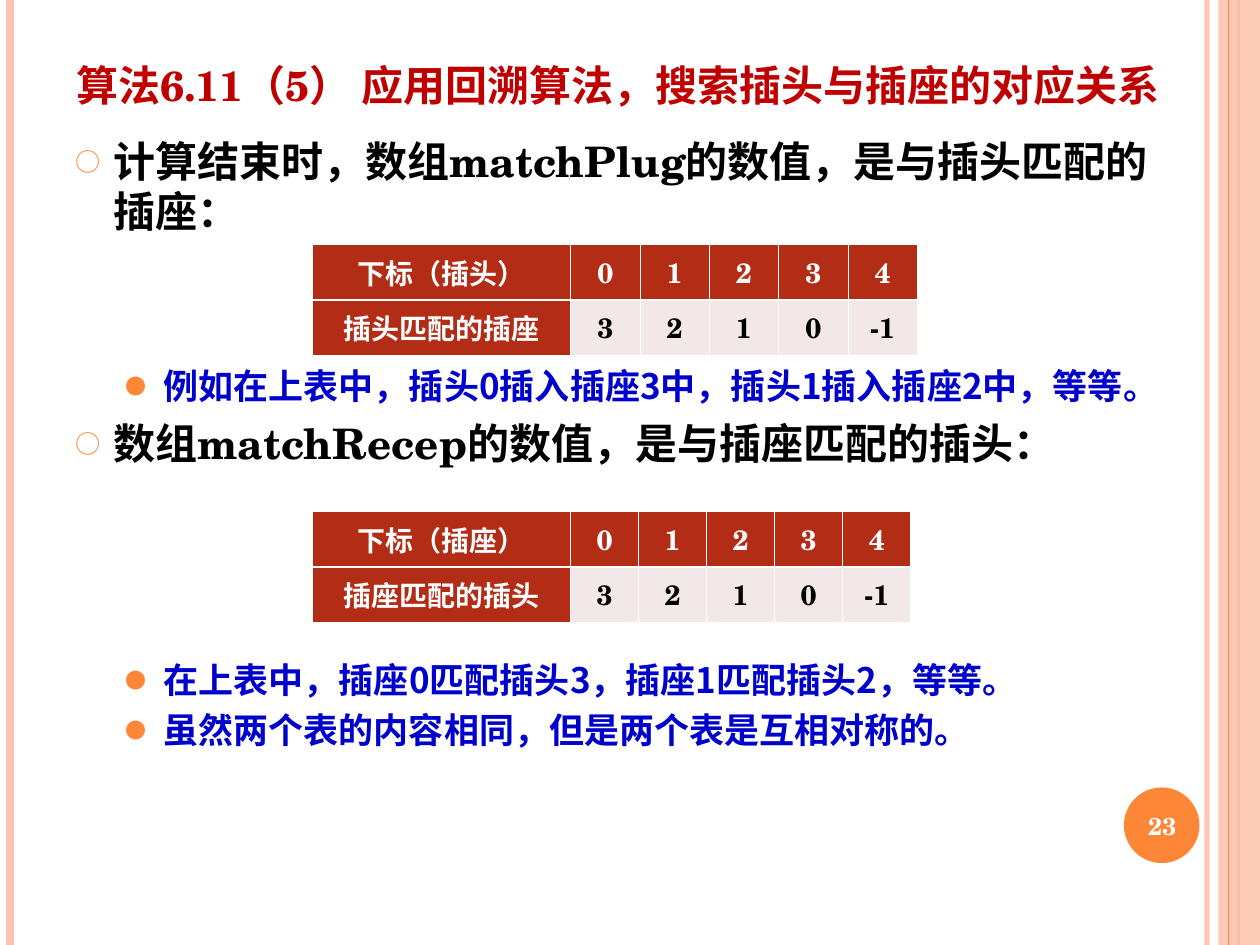
from dataclasses import dataclass

from lxml.etree import SubElement
from pptx import Presentation
from pptx.dml.color import RGBColor as Color
from pptx.enum.shapes import MSO_CONNECTOR as Connector, MSO_SHAPE as Preset
from pptx.enum.text import MSO_ANCHOR as Anchor, PP_ALIGN as Align
from pptx.oxml.ns import qn
from pptx.util import Inches, Pt


@dataclass(frozen=True)
class Theme:
    serif: str = "TeX Gyre Schola"
    sans: str = "Noto Sans CJK SC"
    peach: str = "FEC3AE"
    orange: str = "FE8637"
    title: str = "C00000"
    heading: str = "000000"
    detail: str = "0000CC"
    white: str = "FFFFFF"
    header_fill: str = "B32C16"
    value_fill: str = "F2E8E7"
    heading_size: int = 24
    detail_size: int = 20
    table_size: int = 16
    number_size: int = 14


def add_element(parent, tag, **attributes):
    return SubElement(parent, qn(tag), attributes)


def set_alpha(properties, percent):
    color = next(properties.iter(qn("a:srgbClr")))
    add_element(color, "a:alpha", val=str(percent * 1000))


class SlideBuilder:
    def __init__(self, slide, theme):
        self.slide = slide
        self.theme = theme

    def style(self, paragraph, size, color, family=None):
        font = paragraph.font
        font.name = family or self.theme.serif
        font.size = Pt(size)
        font.bold = True
        font.color.rgb = Color.from_string(color)
        defaults = paragraph._p.pPr.find(qn("a:defRPr"))
        add_element(defaults, "a:ea", typeface=self.theme.sans)

    def vertical_line(self, x, color, width, alpha=100):
        line = self.slide.shapes.add_connector(
            Connector.STRAIGHT, Inches(x), 0, Inches(x), Inches(7.5))
        line.line.color.rgb = Color.from_string(color)
        line.line.width = Pt(width)
        properties = line._element.spPr
        if alpha < 100:
            set_alpha(properties, alpha)
        add_element(properties, "a:effectLst")

    def filled_shape(self, preset, box, color, alpha=100):
        shape = self.slide.shapes.add_shape(preset, *map(Inches, box))
        shape.shadow.inherit = False
        shape.fill.solid()
        shape.fill.fore_color.rgb = Color.from_string(color)
        shape.line.fill.background()
        if alpha < 100:
            set_alpha(shape._element.spPr, alpha)

    def text_frame(self, box, anchor=Anchor.TOP):
        frame = self.slide.shapes.add_textbox(*map(Inches, box)).text_frame
        frame.word_wrap = True
        frame.vertical_anchor = anchor
        return frame

    def label(self, box, text, size, color, anchor, align=Align.LEFT):
        paragraph = self.text_frame(box, anchor).paragraphs[0]
        paragraph.text = text
        paragraph.alignment = align
        self.style(paragraph, size, color)

    def bullets(self, box, items):
        theme = self.theme
        levels = (
            (0.3, "○", theme.heading_size, 29, theme.heading, theme.serif),
            (0.7, "●", theme.detail_size, 24, theme.detail, theme.sans),
        )
        frame = self.text_frame(box)
        for index, (level, gap, text) in enumerate(items):
            margin, mark, size, spacing, color, family = levels[level]
            paragraph = frame.add_paragraph() if index else frame.paragraphs[0]
            paragraph.text = text
            paragraph.level = level
            paragraph.line_spacing = Pt(spacing)
            paragraph.space_before = Pt(gap)
            properties = paragraph._p.get_or_add_pPr()
            properties.set("marL", str(Inches(margin)))
            properties.set("indent", str(Inches(-0.3)))
            bullet_color = add_element(properties, "a:buClr")
            add_element(bullet_color, "a:srgbClr", val=theme.orange)
            add_element(properties, "a:buSzPct", val="60000")
            add_element(properties, "a:buFont", typeface=theme.sans)
            add_element(properties, "a:buChar", char=mark)
            self.style(paragraph, size, color, family)

    def cell_borders(self, cell, row):
        properties = cell._tc.get_or_add_tcPr()
        heavy = "B" if row == 0 else "T"
        for position, side in enumerate("LRTB"):
            width = Pt(1.47 if side == heavy else 0.45)
            border = properties.makeelement(qn(f"a:ln{side}"), {"w": str(width)})
            add_element(add_element(border, "a:solidFill"), "a:srgbClr",
                        val=self.theme.white)
            properties.insert(position, border)

    def match_table(self, top, value_width, rows):
        theme = self.theme
        widths = [2.05] + [value_width] * (len(rows[0]) - 1)
        height = 0.44
        table = self.slide.shapes.add_table(
            len(rows), len(widths), Inches(2.48), Inches(top),
            Inches(sum(widths)), Inches(height * len(rows))).table
        table.horz_banding = False
        for column, width in zip(table.columns, widths):
            column.width = Inches(width)
        for row, values in enumerate(rows):
            table.rows[row].height = Inches(height)
            for column, value in enumerate(values):
                is_header = row == 0 or column == 0
                cell = table.cell(row, column)
                cell.text = str(value)
                cell.vertical_anchor = Anchor.MIDDLE
                cell.margin_left = cell.margin_right = Inches(0.07)
                cell.fill.solid()
                cell.fill.fore_color.rgb = Color.from_string(
                    theme.header_fill if is_header else theme.value_fill)
                self.cell_borders(cell, row)
                paragraph = cell.text_frame.paragraphs[0]
                paragraph.alignment = Align.CENTER
                self.style(paragraph, theme.table_size,
                           theme.white if is_header else theme.heading)


def main():
    theme = Theme()
    presentation = Presentation()
    presentation.slide_width = Inches(10)
    presentation.slide_height = Inches(7.5)
    slide = presentation.slides.add_slide(presentation.slide_layouts[6])
    builder = SlideBuilder(slide, theme)

    builder.vertical_line(9.58, theme.peach, 3, alpha=93)
    builder.vertical_line(0.08, theme.peach, 4.5)
    builder.vertical_line(9.83, theme.orange, 1.5)
    builder.filled_shape(Preset.RECTANGLE, (9.67, 0, 0.33, 7.5), theme.peach, alpha=87)
    builder.vertical_line(9.75, theme.orange, 0.75)
    builder.filled_shape(Preset.OVAL, (8.92, 6.25, 0.6, 0.6), theme.orange)

    builder.label((0.51, 0.05, 9.49, 0.87),
                  "算法6.11（5） 应用回溯算法，搜索插头与插座的对应关系",
                  theme.heading_size, theme.title, Anchor.BOTTOM)
    builder.bullets((0.5, 1.02, 8.99, 5.43), (
        (0, 0, "计算结束时，数组matchPlug的数值，是与插头匹配的插座："),
        (1, 73.5, "例如在上表中，插头0插入插座3中，插头1插入插座2中，等等。"),
        (0, 6, "数组matchRecep的数值，是与插座匹配的插头："),
        (1, 108.5, "在上表中，插座0匹配插头3，插座1匹配插头2，等等。"),
        (1, 5, "虽然两个表的内容相同，但是两个表是互相对称的。"),
    ))
    builder.label((8.89, 6.27, 0.67, 0.57), "23", theme.number_size, theme.white,
                  Anchor.MIDDLE, Align.CENTER)

    indexes = list(range(5))
    matches = [3, 2, 1, 0, -1]
    builder.match_table(1.94, 0.55, (["下标（插头）"] + indexes,
                                     ["插头匹配的插座"] + matches))
    builder.match_table(4.06, 0.54, (["下标（插座）"] + indexes,
                                     ["插座匹配的插头"] + matches))
    presentation.save("out.pptx")


if __name__ == "__main__":
    main()
